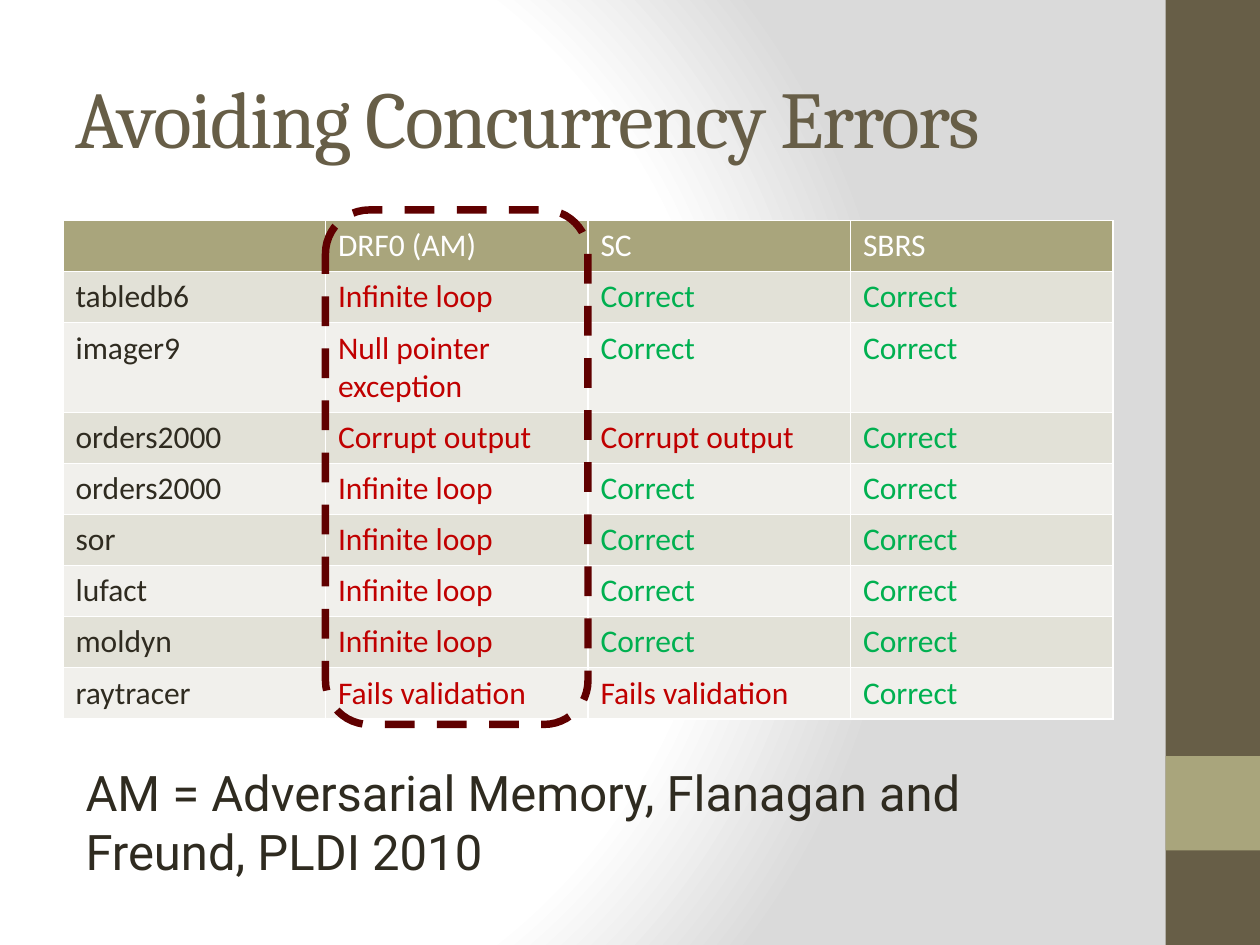
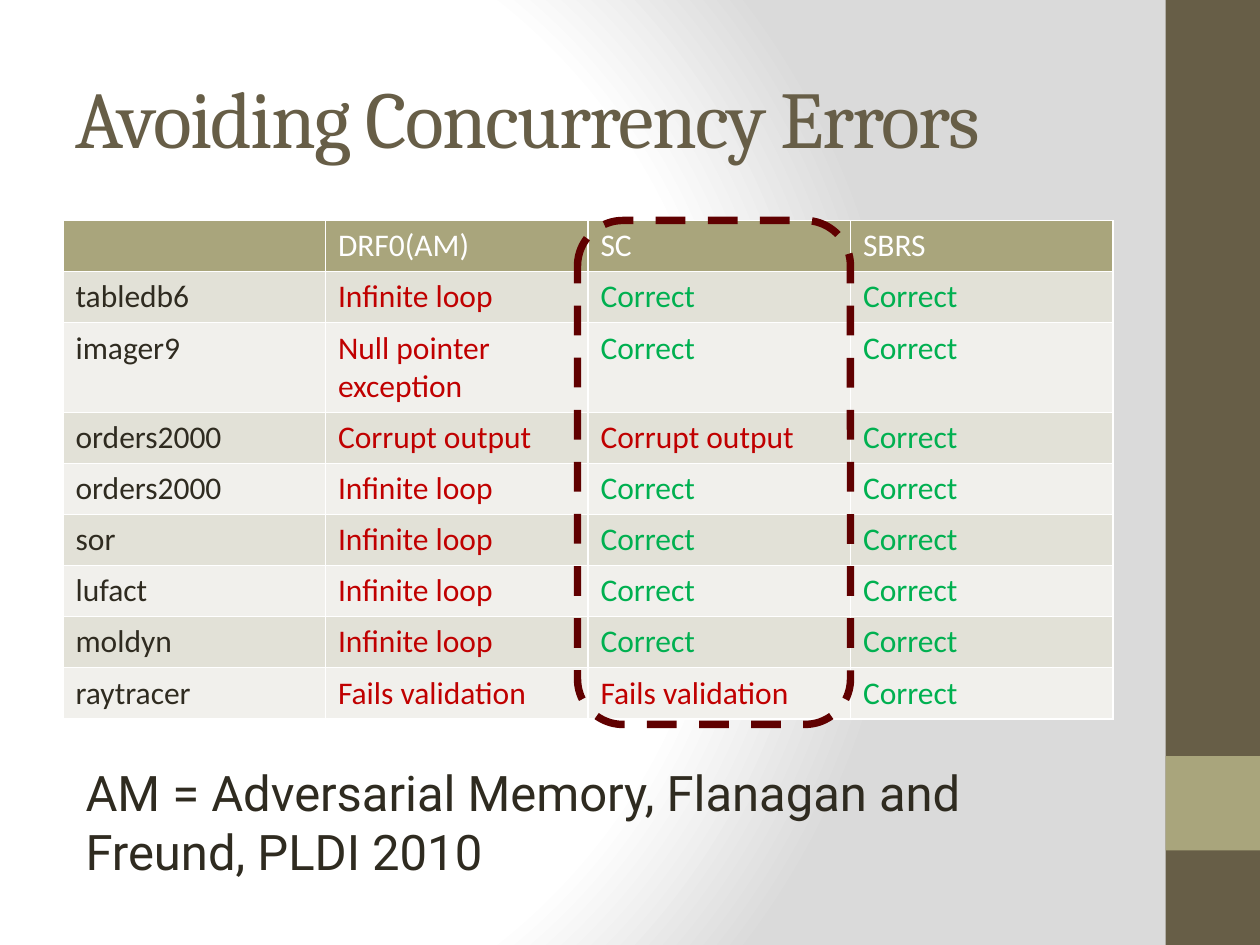
from pptx import Presentation
from pptx.dml.color import RGBColor
from pptx.enum.dml import MSO_LINE
from pptx.enum.shapes import MSO_SHAPE
from pptx.enum.text import MSO_ANCHOR, PP_ALIGN
from pptx.oxml import parse_xml
from pptx.oxml.ns import nsdecls, qn
from pptx.util import Pt

COLORS = {
    "white": "FFFFFF", "shade": "DADADA", "brown": "675E47", "olive": "A9A57C",
    "dark_row": "E2E1D7", "light_row": "F1F0EC", "ink": "2F2B20",
    "error": "C00000", "correct": "00B050", "highlight": "600000",
}
TITLE = "Avoiding Concurrency Errors"
NOTE = "AM = Adversarial Memory, Flanagan and Freund, PLDI 2010"
RESULTS = [
    ("tabledb6", "Infinite loop", "Correct", "Correct"),
    ("imager9", "Null pointer exception", "Correct", "Correct"),
    ("orders2000", "Corrupt output", "Corrupt output", "Correct"),
    ("orders2000", "Infinite loop", "Correct", "Correct"),
    ("sor", "Infinite loop", "Correct", "Correct"),
    ("lufact", "Infinite loop", "Correct", "Correct"),
    ("moldyn", "Infinite loop", "Correct", "Correct"),
    ("raytracer", "Fails validation", "Fails validation", "Correct"),
]
SLIDES = [
    {"heading": "DRF0 (AM)", "highlight_box": (186, 120, 150, 294)},
    {"heading": "DRF0(AM)", "highlight_box": (330, 126, 156, 288)},
]
TITLE_BOX = (36, 21.6, 600, 90)
TABLE_BOX = (36, 126, 600, 284.8)
NOTE_BOX = (41.8, 432, 587.5, 76)
SIDEBAR_BOX = (666, 0, 54, 540)
ROW_HEIGHT, TALL_ROW_HEIGHT = 29.2, 51.2
TITLE_FONT = {"name": "Cambria", "size": Pt(46), "bold": False}
CELL_FONT = {"name": "Calibri", "size": Pt(18), "bold": False}
NOTE_FONT = {"name": "Roboto", "size": Pt(28)}


def rgb(color):
    return RGBColor.from_string(COLORS[color])


def points(box):
    return [Pt(length) for length in box]


def set_attributes(target, values):
    for name, value in values.items():
        setattr(target, name, value)


def write(text_frame, text, font, color):
    paragraph = text_frame.paragraphs[0]
    paragraph.alignment = PP_ALIGN.LEFT
    run = paragraph.add_run()
    run.text = text
    set_attributes(run.font, font)
    run.font.color.rgb = rgb(color)
    return run


def set_background(master):
    master.background.fill.solid()
    solid = master.element.find(".//" + qn("a:solidFill"))
    stops = "".join(
        f'<a:gs pos="{position}000"><a:srgbClr val="{COLORS[color]}"/></a:gs>'
        for position, color in ((0, "white"), (75, "white"), (100, "shade"))
    )
    gradient = parse_xml(
        f'<a:gradFill {nsdecls("a")} rotWithShape="1"><a:gsLst>{stops}</a:gsLst>'
        '<a:path path="circle"><a:fillToRect l="20000" t="50000" r="100000" b="50000"/>'
        "</a:path></a:gradFill>"
    )
    solid.getparent().replace(solid, gradient)


def add_sidebar(slide, box):
    left, top, width, height = box
    accent_box = (left, top + height * 0.8, width, width)
    for band_box, color in ((box, "brown"), (accent_box, "olive")):
        band = slide.shapes.add_shape(MSO_SHAPE.RECTANGLE, *points(band_box))
        band.shadow.inherit = False
        band.fill.solid()
        band.fill.fore_color.rgb = rgb(color)
        band.line.fill.background()


def add_title(slide, box):
    title = slide.shapes.title
    set_attributes(title, dict(zip(("left", "top", "width", "height"), points(box))))
    title.text_frame.vertical_anchor = MSO_ANCHOR.MIDDLE
    run = write(title.text_frame, TITLE, TITLE_FONT, "brown")
    run.font._element.set("spc", "-100")


def add_borders(cell):
    properties = cell._tc.get_or_add_tcPr()
    for side in "LRTB":
        properties.append(parse_xml(
            f'<a:ln{side} {nsdecls("a")} w="12700"><a:solidFill>'
            f'<a:srgbClr val="{COLORS["white"]}"/></a:solidFill></a:ln{side}>'
        ))


def text_color(row, column, text):
    if row == 0:
        return "white"
    if column == 0:
        return "ink"
    return "correct" if text == "Correct" else "error"


def add_results_table(slide, box, heading):
    rows = [("", heading, "SC", "SBRS"), *RESULTS]
    columns = len(rows[0])
    table = slide.shapes.add_table(len(rows), columns, *points(box)).table
    for column in table.columns:
        column.width = Pt(box[2] / columns)
    for row, texts in enumerate(rows):
        is_tall = "Null pointer exception" in texts
        table.rows[row].height = Pt(TALL_ROW_HEIGHT if is_tall else ROW_HEIGHT)
        fill = "olive" if row == 0 else ("light_row", "dark_row")[row % 2]
        for column, text in enumerate(texts):
            cell = table.cell(row, column)
            add_borders(cell)
            cell.fill.solid()
            cell.fill.fore_color.rgb = rgb(fill)
            if text:
                write(cell.text_frame, text, CELL_FONT, text_color(row, column, text))


def add_highlight(slide, box):
    outline = slide.shapes.add_shape(MSO_SHAPE.ROUNDED_RECTANGLE, *points(box))
    outline.shadow.inherit = False
    outline.fill.background()
    outline.line.color.rgb = rgb("highlight")
    set_attributes(outline.line, {"width": Pt(4.25), "dash_style": MSO_LINE.DASH})


def add_note(slide, box):
    text_frame = slide.shapes.add_textbox(*points(box)).text_frame
    text_frame.word_wrap = True
    write(text_frame, NOTE, NOTE_FONT, "ink")


def add_comparison_slide(presentation, heading, highlight_box):
    slide = presentation.slides.add_slide(presentation.slide_layouts[5])
    add_sidebar(slide, SIDEBAR_BOX)
    add_title(slide, TITLE_BOX)
    add_results_table(slide, TABLE_BOX, heading)
    add_note(slide, NOTE_BOX)
    add_highlight(slide, highlight_box)


def main():
    presentation = Presentation()
    set_attributes(presentation, {"slide_width": Pt(720), "slide_height": Pt(540)})
    set_background(presentation.slide_master)
    for content in SLIDES:
        add_comparison_slide(presentation, **content)
    presentation.save("out.pptx")


if __name__ == "__main__":
    main()
